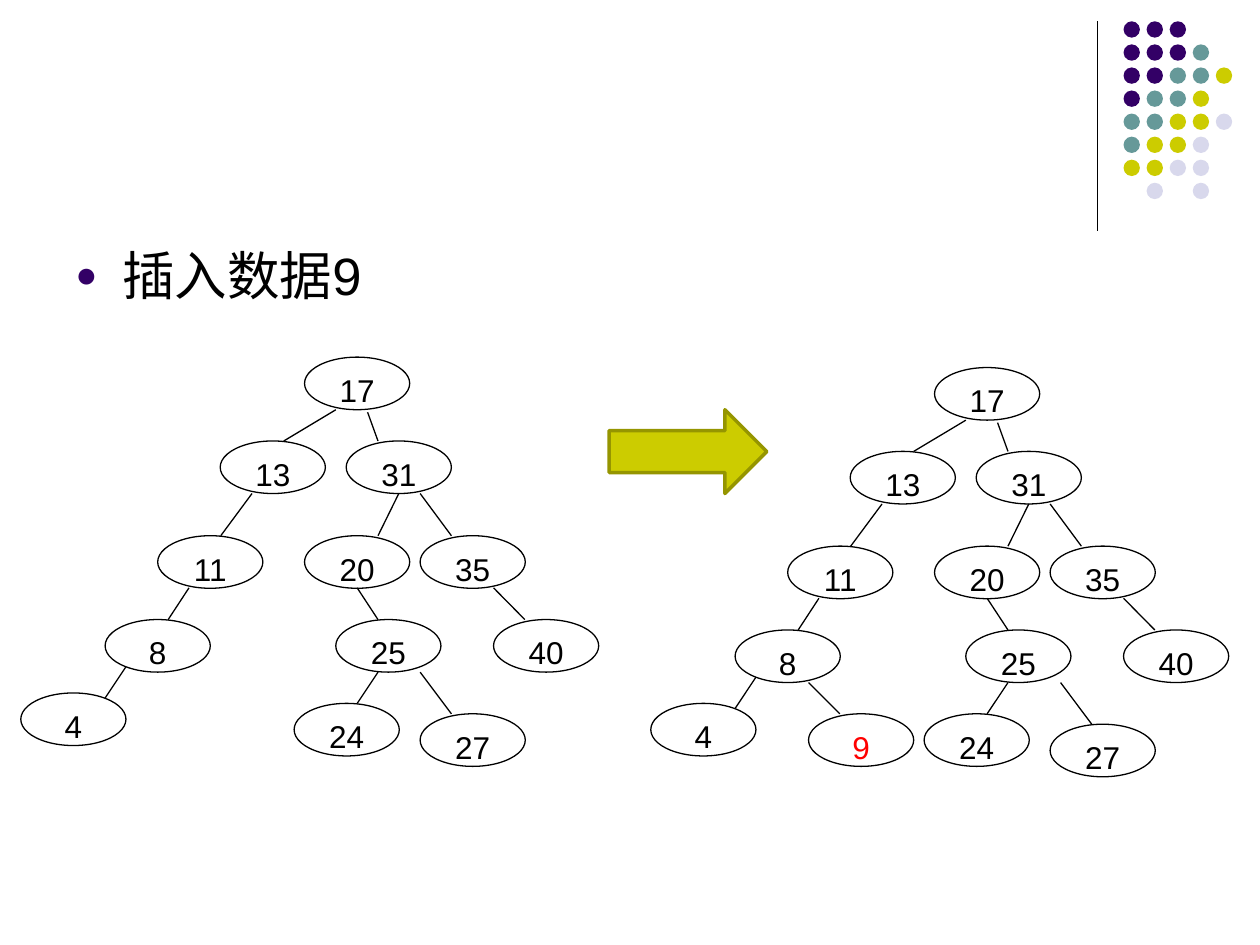
"""Build a slide showing a binary search tree before and after inserting 9."""
from lxml import etree
from pptx import Presentation
from pptx.dml.color import RGBColor
from pptx.enum.shapes import MSO_CONNECTOR, MSO_SHAPE
from pptx.enum.text import MSO_ANCHOR, PP_ALIGN
from pptx.oxml.ns import qn
from pptx.util import Cm, Pt

STRAIGHT = MSO_CONNECTOR.STRAIGHT
ELLIPSE = MSO_SHAPE.OVAL
RIGHT_ARROW = MSO_SHAPE.RIGHT_ARROW
TOP = MSO_ANCHOR.TOP
CENTER = PP_ALIGN.CENTER

FONT = "Arial"
COLORS = {
    "black": "000000", "white": "FFFFFF", "red": "FF0000",
    "purple": "330066", "teal": "669999", "olive": "CCCC00",
    "lavender": "D8D8EC", "dark olive": "959500",
}


def add_filled(shapes, kind, left, top, width, height, fill, line=None, weight=0.75):
    shape = shapes.add_shape(kind, Cm(left), Cm(top), Cm(width), Cm(height))
    shape.shadow.inherit = False
    shape.fill.solid()
    shape.fill.fore_color.rgb = RGBColor.from_string(COLORS[fill])
    if line:
        shape.line.color.rgb = RGBColor.from_string(COLORS[line])
        shape.line.width = Pt(weight)
    else:
        shape.line.fill.background()
    return shape


def add_line(shapes, x1, y1, x2, y2):
    line = shapes.add_connector(STRAIGHT, Cm(x1), Cm(y1), Cm(x2), Cm(y2))
    line.line.color.rgb = RGBColor.from_string(COLORS["black"])
    line.line.width = Pt(0.75)
    etree.SubElement(line._element.spPr, qn("a:effectLst"))


prs = Presentation()
prs.slide_width, prs.slide_height = Cm(25.4), Cm(19.05)
slide = prs.slides.add_slide(prs.slide_layouts[6])

add_line(slide.shapes, 22.12, 0.43, 22.12, 4.65)

DOT_ROWS = ["PPP", "PPPT", "PPTTO", "PTTO", "TTOOL", "TOOL", "OOLL", " L L"]
DOT_COLORS = {"P": "purple", "T": "teal", "O": "olive", "L": "lavender"}
DOT_PITCH = 0.465
dots = slide.shapes.add_group_shape()
for row, letters in enumerate(DOT_ROWS):
    for column, letter in enumerate(letters):
        if letter in DOT_COLORS:
            add_filled(dots.shapes, ELLIPSE, 22.65 + column * DOT_PITCH,
                       0.43 + row * DOT_PITCH, 0.33, 0.33, DOT_COLORS[letter])

body = slide.shapes.add_textbox(Cm(1.27), Cm(4.78), Cm(22.86), Cm(12.24))
body.text_frame.word_wrap = True
heading = body.text_frame.paragraphs[0]
heading.text = "插入数据9"
properties = heading._p.get_or_add_pPr()
properties.set("marL", str(Cm(0.95)))
properties.set("indent", str(Cm(-0.95)))
bullet_color = etree.SubElement(properties, qn("a:buClr"))
etree.SubElement(bullet_color, qn("a:srgbClr"), val=COLORS["purple"])
etree.SubElement(properties, qn("a:buSzPct"), val="70000")
etree.SubElement(properties, qn("a:buFont"), typeface=FONT)
etree.SubElement(properties, qn("a:buChar"), char="●")
heading.runs[0].font.name = FONT
heading.runs[0].font.size = Pt(30)
heading.runs[0].font.color.rgb = RGBColor.from_string(COLORS["black"])

NODE_WIDTH, NODE_HEIGHT = 2.12, 1.06
nodes = {
    "17": (6.14, 7.2), "13": (4.44, 8.89), "31": (6.98, 8.89),
    "11": (3.18, 10.8), "20": (6.14, 10.8), "35": (8.47, 10.8),
    "8": (2.12, 12.49), "25": (6.77, 12.49), "40": (9.95, 12.49),
    "4": (0.42, 13.97), "24": (5.93, 14.18), "27": (8.47, 14.39),
}
edges = {
    "13": (5.72, 8.89, 6.77, 8.26), "31": (7.62, 8.89, 7.41, 8.31),
    "11": (4.45, 10.8, 5.08, 9.95), "20": (7.62, 10.8, 8.04, 9.95),
    "35": (9.1, 10.8, 8.47, 9.95), "8": (3.39, 12.49, 3.81, 11.85),
    "25": (7.62, 12.49, 7.2, 11.85), "40": (10.58, 12.49, 9.95, 11.85),
    "4": (2.12, 14.07, 2.54, 13.44), "24": (7.2, 14.18, 7.62, 13.55),
    "27": (9.1, 14.39, 8.47, 13.55),
}
nodes_after = {**nodes, "9": (3.6, 14.18)}
edges_after = {**edges, "27": (9.31, 14.39, 8.68, 13.55),
               "9": (4.23, 14.18, 3.6, 13.55)}

for tree_nodes, tree_edges, dx, dy in [(nodes, edges, 0, 0),
                                       (nodes_after, edges_after, 12.7, 0.21)]:
    tree = slide.shapes.add_group_shape()
    for key, (x, y) in tree_nodes.items():
        node = add_filled(tree.shapes, ELLIPSE, x + dx, y + dy,
                          NODE_WIDTH, NODE_HEIGHT, "white", "black")
        node.text_frame.text = key
        node.text_frame.vertical_anchor = TOP
        label = node.text_frame.paragraphs[0]
        label.alignment = CENTER
        label.runs[0].font.name = FONT
        label.runs[0].font.size = Pt(18)
        key_color = COLORS["red" if key == "9" else "black"]
        label.runs[0].font.color.rgb = RGBColor.from_string(key_color)
    for x1, y1, x2, y2 in tree_edges.values():
        add_line(tree.shapes, x1 + dx, y1 + dy, x2 + dx, y2 + dy)

add_filled(slide.shapes, RIGHT_ARROW, 12.28, 8.26, 3.18, 1.69, "olive", "dark olive", 2)

prs.save("out.pptx")
